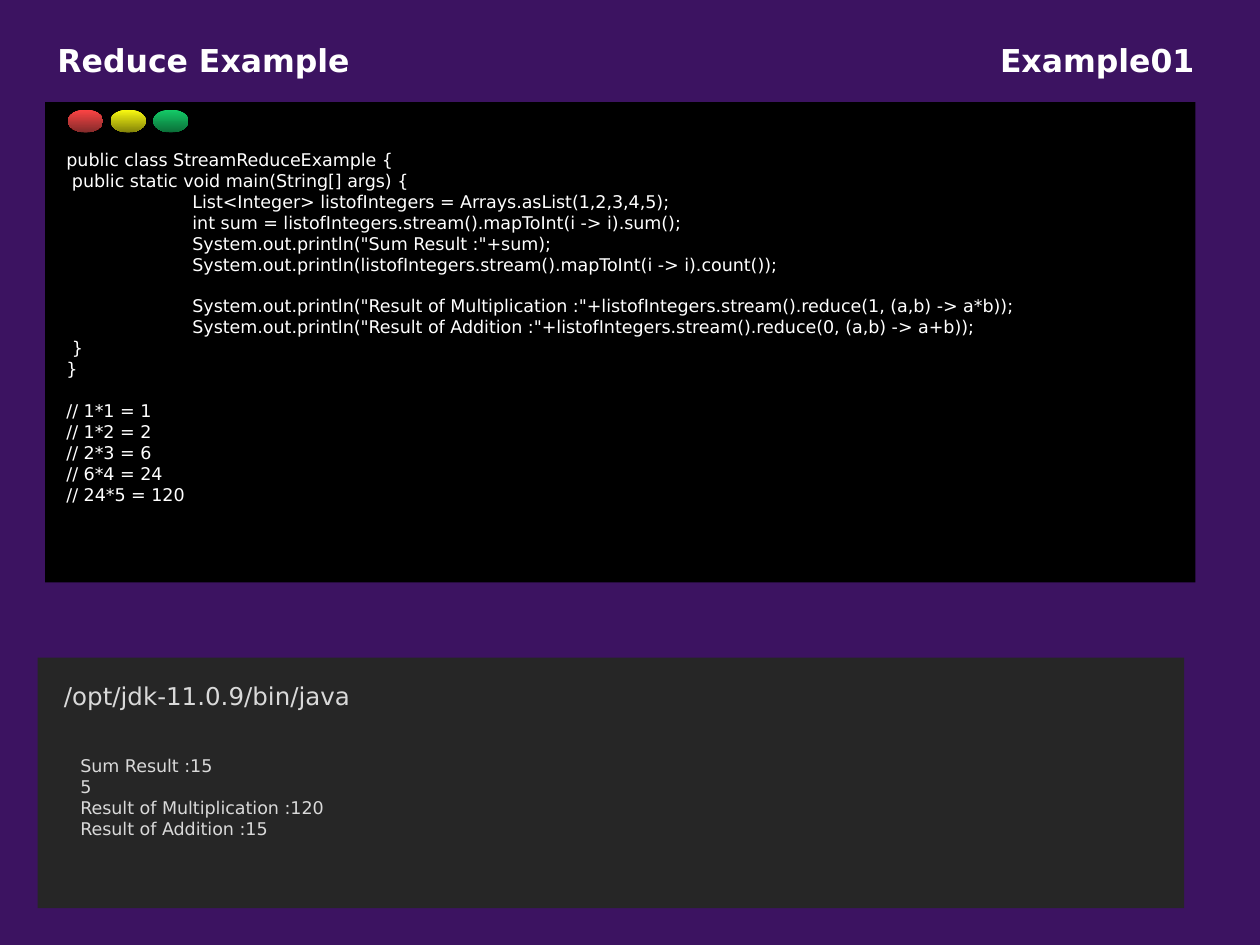
"""Build the Reduce Example slide with a code window and its console output."""
import pptx
import pptx.util
import pptx.dml.color
import pptx.enum.shapes
import pptx.enum.text

Cm, Pt = pptx.util.Cm, pptx.util.Pt
RGB = pptx.dml.color.RGBColor.from_string
SHAPE = pptx.enum.shapes.MSO_SHAPE
ALIGN = pptx.enum.text.PP_ALIGN

THEME = {
    "font": "DejaVu Sans",
    "background": "3C1361", "window": "000000", "console": "262626",
    "light": "FFFFFF", "muted": "D9D9D9",
    "title": 18, "command": 14, "body": 10, "gap": 11.64,
}
BUTTONS = [("FE4444", "832B2B"), ("FBFB11", "838309"), ("14CD68", "0B6E38")]
BUTTON_LEFT, BUTTON_TOP, BUTTON_W, BUTTON_H, BUTTON_PITCH = 1.37, 2.21, 0.71, 0.46, 0.86

TITLES = [
    ("Reduce Example", (0.91, 0.71, 6.4, 1.02), ALIGN.LEFT),
    ("Example01", (19.91, 0.71, 4.42, 1.02), ALIGN.CENTER),
]
HEAD = ["public class StreamReduceExample {", " public static void main(String[] args) {"]
SUMS = [
    "List<Integer> listofIntegers = Arrays.asList(1,2,3,4,5);",
    "int sum = listofIntegers.stream().mapToInt(i -> i).sum();",
    'System.out.println("Sum Result :"+sum);',
    "System.out.println(listofIntegers.stream().mapToInt(i -> i).count());",
]
REDUCTIONS = [
    'System.out.println("Result of Multiplication :"+listofIntegers.stream().reduce(1, (a,b) -> a*b));',
    'System.out.println("Result of Addition :"+listofIntegers.stream().reduce(0, (a,b) -> a+b));',
]
TAIL = [" }", "}"]
STEPS = ["// 1*1 = 1", "// 1*2 = 2", "// 2*3 = 6", "// 6*4 = 24", "// 24*5 = 120"]
CODE = HEAD + SUMS + REDUCTIONS + TAIL + STEPS
INDENTED = SUMS + REDUCTIONS
GAP_BEFORE = (REDUCTIONS[0], STEPS[0])
COMMAND = ["/opt/jdk-11.0.9/bin/java"]
OUTPUT = ["Sum Result :15", "5", "Result of Multiplication :120", "Result of Addition :15"]


def add_text(shapes, lines, box, size, color, bold=False, align=ALIGN.LEFT, wrap=True):
    sp = shapes.add_textbox(*map(Cm, box))
    tf = sp.text_frame
    tf.word_wrap = wrap
    tf.text = "\n".join(lines)
    for p in tf.paragraphs:
        p.alignment = align
        for r in p.runs:
            r.font.name = THEME["font"]
            r.font.size = Pt(THEME[size])
            r.font.bold = bold
            r.font.color.rgb = RGB(THEME[color])
    return tf


def add_plain(shapes, kind, box):
    sp = shapes.add_shape(kind, *map(Cm, box))
    sp.shadow.inherit = False
    sp.line.fill.background()
    return sp


def add_panel(shapes, box, color):
    sp = add_plain(shapes, SHAPE.RECTANGLE, box)
    sp.fill.solid()
    sp.fill.fore_color.rgb = RGB(THEME[color])


prs = pptx.Presentation()
prs.slide_width, prs.slide_height = Cm(25.4), Cm(19.05)
s = prs.slides.add_slide(prs.slide_layouts[6])
s.background.fill.solid()
s.background.fill.fore_color.rgb = RGB(THEME["background"])

for title, box, align in TITLES:
    add_text(s.shapes, [title], box, "title", "light", bold=True, align=align, wrap=False)

window = s.shapes.add_group_shape().shapes
add_panel(window, (0.91, 2.06, 23.19, 9.68), "window")
for i, colors in enumerate(BUTTONS):
    left = BUTTON_LEFT + i * BUTTON_PITCH
    button = add_plain(window, SHAPE.OVAL, (left, BUTTON_TOP, BUTTON_W, BUTTON_H))
    button.fill.gradient()
    button.fill.gradient_angle = 270
    for position, (stop, color) in enumerate(zip(button.fill.gradient_stops, colors)):
        stop.position = position
        stop.color.rgb = RGB(color)

tf = add_text(s.shapes, CODE, (1.09, 2.87, 21.64, 7.52), "body", "light")
for p in tf.paragraphs:
    if p.text in INDENTED:
        pPr = p._p.get_or_add_pPr()
        pPr.set("marL", str(Cm(2.54)))
        pPr.set("indent", "0")
    if p.text in GAP_BEFORE:
        p.space_before = Pt(THEME["gap"])

console = s.shapes.add_group_shape().shapes
add_panel(console, (0.76, 13.26, 23.11, 5.05), "console")
add_text(console, COMMAND, (1.04, 13.61, 7.01, 0.86), "command", "muted")
add_text(console, OUTPUT, (1.37, 15.09, 22.33, 1.96), "body", "muted")

prs.save("out.pptx")
